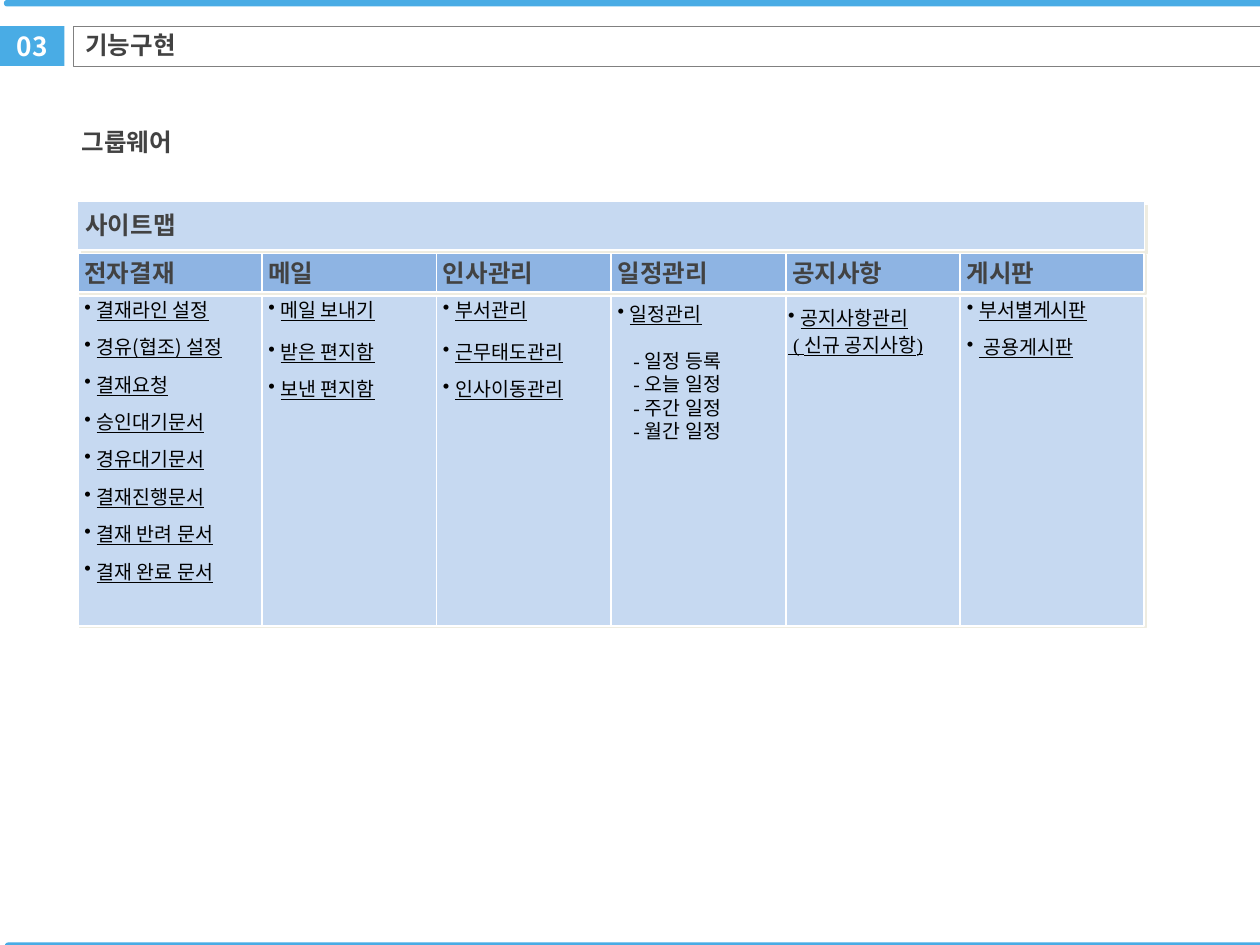
from dataclasses import dataclass
from itertools import accumulate

from lxml import etree
from pptx import Presentation
from pptx import util as u
from pptx.dml import color
from pptx.enum import shapes, text
from pptx.oxml import ns

KOREAN, LATIN = "Noto Sans CJK KR", "Times New Roman"
ACCENT, PALE, MEDIUM = "49ACE5", "C6D9F1", "8EB4E3"
WHITE, BLACK, DARK, GRAY, SHADE = "FFFFFF", "000000", "424242", "808080", "EEECE1"
CELL_INSETS = (0.13, 0.13, 0.41, 0.13)
TEXT_INSETS = (0.25, 0.13, 0.25, 0.13)


@dataclass
class Box:
    left: float
    top: float
    width: float
    height: float


@dataclass
class Item:
    words: str
    bullet: bool = True
    underline: bool = True
    indent: float = 0.25
    after: float = 0  # points


@dataclass
class Menu:
    title: str
    items: list[Item]
    pitch: float  # points from line to line
    width: float = 3.52
    latin: str = LATIN
    insets: tuple = CELL_INSETS


def paint(target, hex_code: str) -> None:
    target.rgb = color.RGBColor.from_string(hex_code)


def add_block(parts, box: Box, fill: str | None = None, line: str | None = None,
              line_width: float = 1, shadow: float = 0,
              kind=shapes.MSO_SHAPE.RECTANGLE):
    block = parts.add_shape(kind, *(u.Cm(v) for v in
                                    (box.left, box.top, box.width, box.height)))
    block.shadow.inherit = False
    if fill:
        block.fill.solid()
        paint(block.fill.fore_color, fill)
    else:
        block.fill.background()
    if line:
        paint(block.line.color, line)
        block.line.width = u.Pt(line_width)
    else:
        block.line.fill.background()
    if shadow:
        effects = block._element.spPr.find(ns.qn("a:effectLst"))
        outer = etree.SubElement(effects, ns.qn("a:outerShdw"), dist=str(u.Pt(shadow)),
                                 dir="2700000", algn="ctr", rotWithShape="0")
        etree.SubElement(outer, ns.qn("a:srgbClr"), val=SHADE)
    return block


def set_frame(frame, insets: tuple, anchor=text.MSO_ANCHOR.MIDDLE) -> None:
    frame.word_wrap = True
    frame.vertical_anchor = anchor
    (frame.margin_left, frame.margin_top,
     frame.margin_right, frame.margin_bottom) = map(u.Cm, insets)


def add_run(paragraph, words: str, size: float, hex_code: str, bold: bool = False,
            underline: bool = False, latin: str = KOREAN) -> None:
    run = paragraph.add_run()
    run.text = words
    font = run.font
    font.size, font.bold, font.underline, font.name = u.Pt(size), bold, underline, latin
    paint(font.color, hex_code)
    etree.SubElement(run._r.get_or_add_rPr(), ns.qn("a:ea"), typeface=KOREAN)


def add_heading(frame, words: str, insets: tuple = TEXT_INSETS, size: float = 14,
                hex_code: str = DARK, align=text.PP_ALIGN.LEFT) -> None:
    set_frame(frame, insets)
    paragraph = frame.paragraphs[0]
    paragraph.alignment = align
    add_run(paragraph, words, size, hex_code, bold=True)


def add_label(parts, box: Box, words: str) -> None:
    label = parts.add_textbox(*(u.Cm(v) for v in
                                (box.left, box.top, box.width, box.height)))
    add_heading(label.text_frame, words)


def add_items(frame, menu: Menu) -> None:
    set_frame(frame, menu.insets, text.MSO_ANCHOR.TOP)
    for index, item in enumerate(menu.items):
        paragraph = frame.add_paragraph() if index else frame.paragraphs[0]
        paragraph.alignment = text.PP_ALIGN.LEFT
        paragraph.line_spacing = u.Pt(menu.pitch)
        paragraph.space_after = u.Pt(item.after)
        settings = paragraph._p.get_or_add_pPr()
        settings.set("marL", str(u.Cm(item.indent)))
        settings.set("indent", str(u.Cm(-item.indent if item.bullet else 0)))
        if item.bullet:
            etree.SubElement(settings, ns.qn("a:buChar"), char="•")
        else:
            etree.SubElement(settings, ns.qn("a:buNone"))
        add_run(paragraph, item.words, 11.1, BLACK, underline=item.underline,
                latin=menu.latin)


def spaced(*words: str, first_gap: float = 10.7) -> list[Item]:
    return [Item(w, after=10.7 if i else first_gap) for i, w in enumerate(words)]


MENUS = [
    Menu("전자결재", spaced("결재라인 설정", "경유(협조) 설정", "결재요청", "승인대기문서",
                        "경유대기문서", "결재진행문서", "결재 반려 문서", "결재 완료 문서"),
         10.7, 3.71, KOREAN),
    Menu("메일", spaced("메일 보내기", "받은 편지함", "보낸 편지함", first_gap=13.3), 10.7),
    Menu("인사관리", spaced("부서관리", "근무태도관리", "인사이동관리", first_gap=13.3), 10.7),
    Menu("일정관리", [Item("일정관리", after=13.3)] + [
        Item(f"- {period} 일정" if period != "등록" else "- 일정 등록",
             bullet=False, underline=False, indent=0.32)
        for period in ("등록", "오늘", "주간", "월간")], 13.3),
    Menu("공지사항", [Item("공지사항관리"), Item(" ( 신규 공지사항)", bullet=False, indent=0)],
         15.4, insets=(0.05, 0.13, 0.05, 0.13)),
    Menu("게시판", spaced("부서별게시판", " 공용게시판"), 10.7, 3.71),
]


def main() -> None:
    deck = Presentation()
    deck.slide_width, deck.slide_height = u.Cm(25.4), u.Cm(19.05)
    parts = deck.slides.add_slide(deck.slide_layouts[6]).shapes

    # Site map: banner, column headings, then menu cells
    left = 1.57
    widths = [menu.width for menu in MENUS]
    lefts = list(accumulate(widths[:-1], initial=left))
    add_block(parts, Box(left, 4.07, sum(widths), 0.97), PALE, WHITE, 0.75, 2.8)
    for menu, x in zip(MENUS, lefts):
        heading = add_block(parts, Box(x, 5.11, menu.width, 0.78), MEDIUM, WHITE, shadow=1.4)
        add_heading(heading.text_frame, menu.title, CELL_INSETS)
    for menu, x in zip(MENUS, lefts):
        cell = add_block(parts, Box(x, 5.97, menu.width, 6.65), PALE, WHITE, shadow=1.4)
        add_items(cell.text_frame, menu)
    add_label(parts, Box(1.4, 1.8, 2.64, 2.11), "그룹웨어")

    # Rules along the top and bottom edges
    for x, y in ((0.08, 0), (0.1, 19)):
        rule = add_block(parts, Box(x, y, 25.48, 0.13), ACCENT,
                         kind=shapes.MSO_SHAPE.ROUNDED_RECTANGLE)
        rule.adjustments[0] = 0.47

    # Section number and title
    number = add_block(parts, Box(0, 0.53, 1.3, 0.8), ACCENT)
    add_heading(number.text_frame, "03", size=15, hex_code=WHITE,
                align=text.PP_ALIGN.CENTER)
    title = parts.add_group_shape().shapes
    add_block(title, Box(1.47, 0.53, 24.74, 0.8), line=GRAY, line_width=0.25)
    add_label(title, Box(1.47, 0.48, 2.6, 0.86), "기능구현")
    add_label(parts, Box(1.47, 4.11, 3.18, 0.86), "사이트맵")

    deck.save("out.pptx")


if __name__ == "__main__":
    main()
